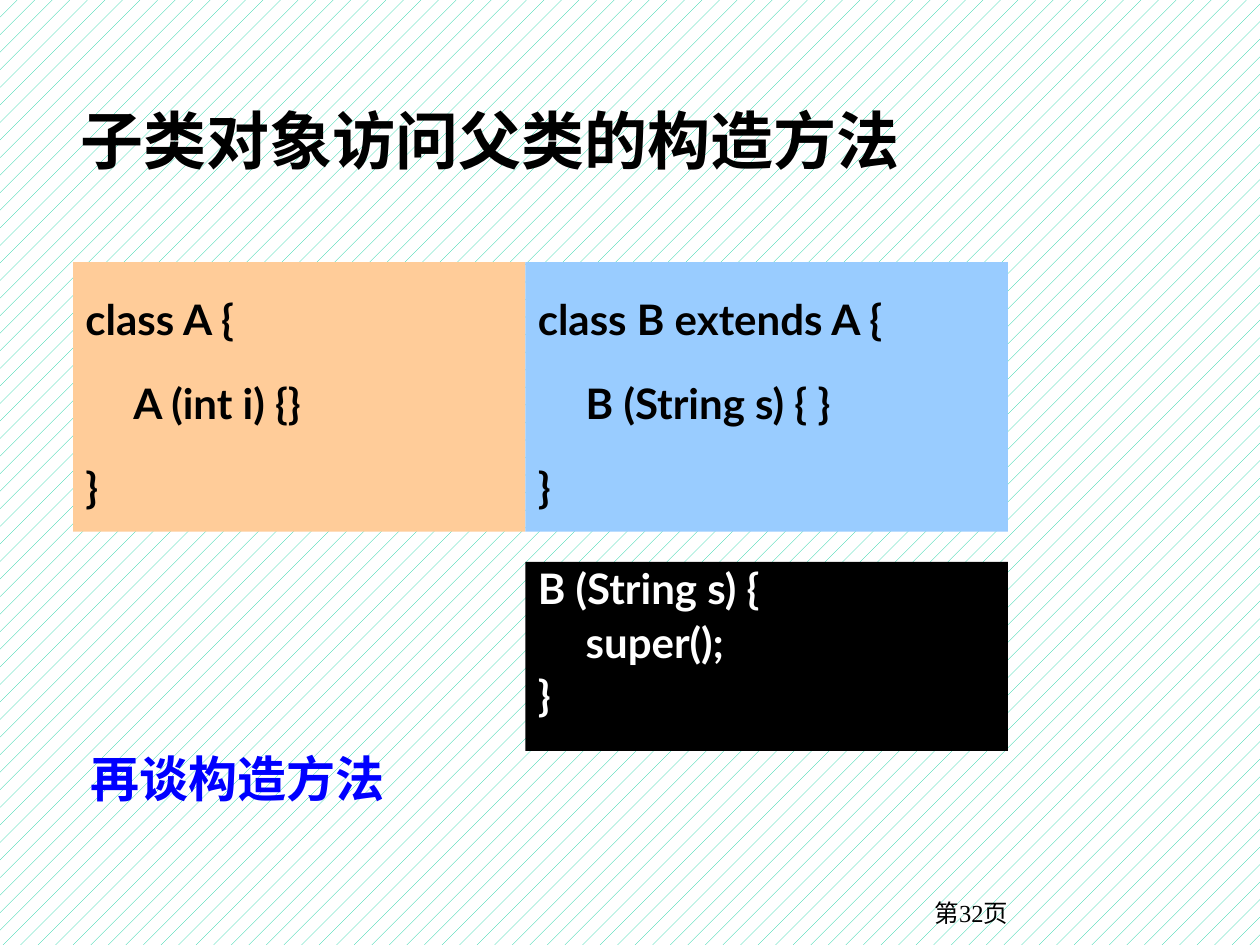
from dataclasses import dataclass

from pptx import Presentation
from pptx import util as u
from pptx.dml.color import RGBColor
from pptx.enum import dml, shapes, text
from pptx.oxml import ns
from lxml import etree


@dataclass(frozen=True)
class Theme:
    black: str = "000000"
    white: str = "FFFFFF"
    blue: str = "0000FF"
    peach: str = "FFCC99"
    sky: str = "99CCFF"
    mint: str = "00CC99"
    head: int = 36
    sub: int = 28
    code: int = 24
    foot: int = 14
    serif: str = "Times New Roman"
    sans: str = "Lato"
    han: str = "Noto Sans CJK SC"


class Deck:
    def __init__(self, theme):
        self.theme = theme
        self.prs = Presentation()
        self.prs.slide_width = u.Inches(10)
        self.prs.slide_height = u.Inches(7.5)
        self.slide = self.prs.slides.add_slide(self.prs.slide_layouts[5])

    def back(self):
        fill = self.slide.background.fill
        fill.patterned()
        fill.pattern = dml.MSO_PATTERN.PERCENT_5
        fill.fore_color.rgb = RGBColor.from_string(self.theme.mint)
        fill.back_color.rgb = RGBColor.from_string(self.theme.white)

    def put(self, frame, lines, font, color, para, anchor=text.MSO_ANCHOR.TOP):
        """Fill a frame, one paragraph a line, from font and paragraph values."""
        frame.word_wrap = True
        frame.auto_size = text.MSO_AUTO_SIZE.NONE
        frame.vertical_anchor = anchor
        frame.text = "\n".join(lines)
        for par in frame.paragraphs:
            for key, val in para.items():
                setattr(par, key, val)
            for run in par.runs:
                for key, val in font.items():
                    setattr(run.font, key, val)
                run.font.color.rgb = RGBColor.from_string(color)
                props = run._r.get_or_add_rPr()
                east = etree.SubElement(props, ns.qn("a:ea"))
                east.set("typeface", self.theme.han)

    def title(self, words, box):
        shape = self.slide.shapes.title
        for key, val in zip(("left", "top", "width", "height"), box):
            setattr(shape, key, u.Inches(val))
        font = {"size": u.Pt(self.theme.head), "name": self.theme.serif, "bold": True}
        self.put(shape.text_frame, [words], font, self.theme.black,
                 {"alignment": text.PP_ALIGN.LEFT}, text.MSO_ANCHOR.MIDDLE)

    def label(self, words, box, font, color, para):
        shape = self.slide.shapes.add_textbox(*map(u.Inches, box))
        self.put(shape.text_frame, [words], font, color, para)

    def code(self, lines, box, fill, color, gap):
        """Add a filled code panel; gap is its line spacing."""
        kind = shapes.MSO_SHAPE.RECTANGLE
        shape = self.slide.shapes.add_shape(kind, *map(u.Inches, box))
        shape.shadow.inherit = False
        shape.fill.solid()
        shape.fill.fore_color.rgb = RGBColor.from_string(fill)
        shape.line.fill.background()
        size = self.theme.code
        font = {"size": u.Pt(size), "name": self.theme.sans, "bold": True}
        para = {"alignment": text.PP_ALIGN.LEFT, "line_spacing": gap,
                "space_before": u.Pt(size * 0.2)}
        self.put(shape.text_frame, lines, font, color, para)
        indent = u.Inches(0.38)
        for par in shape.text_frame.paragraphs:
            props = par._p.get_or_add_pPr()
            props.set("marL", str(indent))
            props.set("indent", str(-indent))


def main():
    look = Theme()
    deck = Deck(look)
    deck.back()
    deck.title("子类对象访问父类的构造方法", (0.54, 0.73, 8.5, 0.75))
    deck.label("再谈构造方法", (0.62, 5.89, 2.84, 0.54),
               {"size": u.Pt(look.sub), "name": look.han, "bold": True},
               look.blue, {"space_before": u.Pt(look.sub * 0.2)})

    left, mid, right, top, tall = 0.58, 4.17, 8, 2.08, 2.14
    wide = right - mid
    deck.code(["class A {", "\tA (int i) {}", "}"],
              (left, top, mid - left, tall), look.peach, look.black, 1.5)
    deck.code(["class B extends A {", "\tB (String s) { }", "}"],
              (mid, top, wide, tall), look.sky, look.black, 1.5)
    deck.code(["B (String s) {", "\tsuper();", "}"],
              (mid, 4.46, wide, 1.5), look.black, look.white, 0.9)

    deck.label("第32页", (6.02, 7.08, 2.08, 0.37),
               {"size": u.Pt(look.foot), "name": look.serif},
               look.black, {"alignment": text.PP_ALIGN.RIGHT})
    deck.prs.save("out.pptx")


if __name__ == "__main__":
    main()
